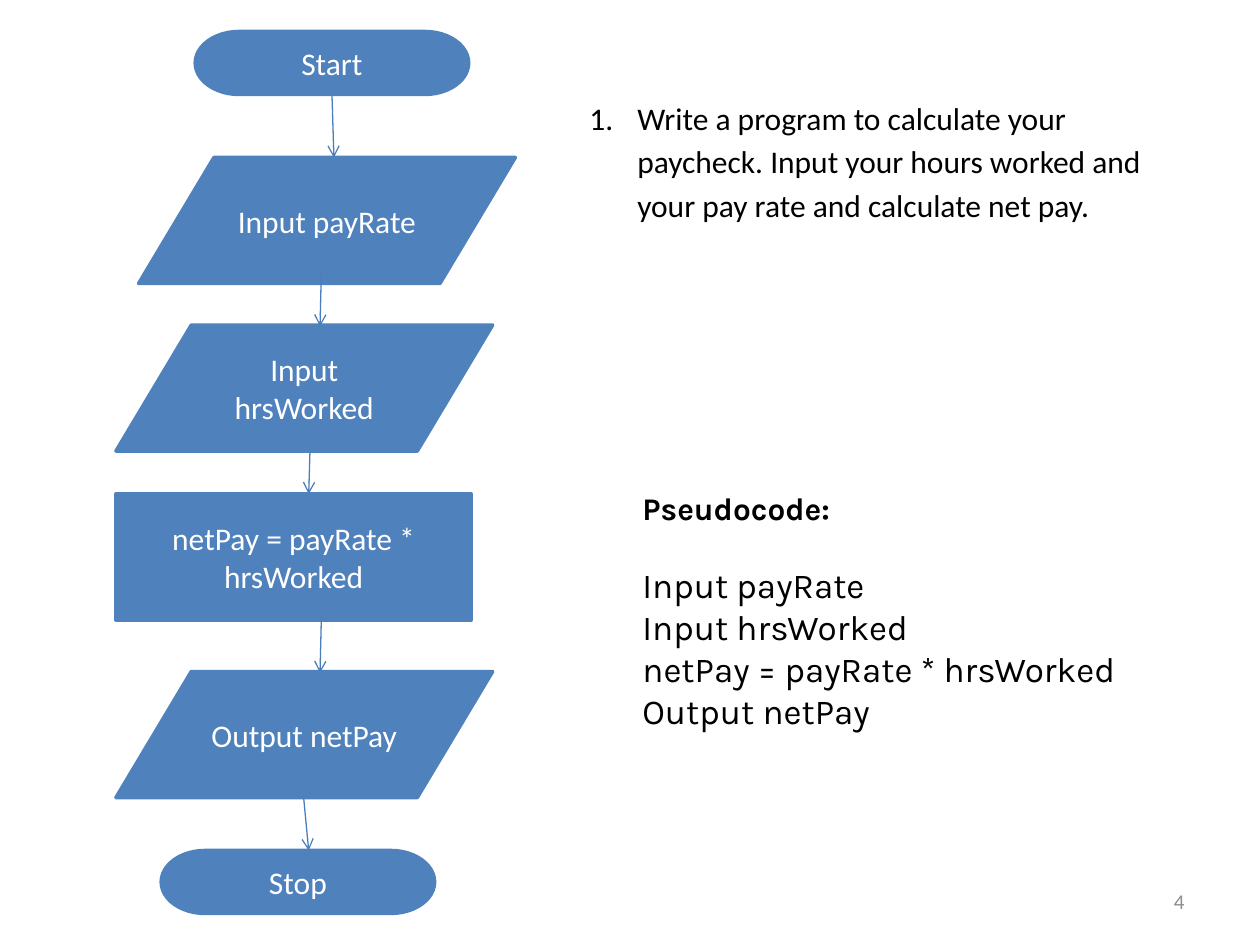
"""Build the paycheck flowchart slide with its task and pseudocode."""
from typing import NamedTuple

from lxml import etree
from pptx import Presentation
from pptx.dml.color import RGBColor
from pptx.enum.shapes import MSO_CONNECTOR, MSO_SHAPE
from pptx.enum.text import MSO_ANCHOR, MSO_AUTO_SIZE, PP_ALIGN
from pptx.oxml.ns import qn
from pptx.util import Pt

PX = 9144
BLUE = RGBColor(0x4F, 0x81, 0xBD)
ARROW_BLUE = RGBColor(0x4A, 0x7E, 0xBB)
WHITE = RGBColor(0xFF, 0xFF, 0xFF)
BLACK = RGBColor(0x00, 0x00, 0x00)
GRAY = RGBColor(0x8C, 0x8C, 0x8C)
TERMINATOR = MSO_SHAPE.FLOWCHART_TERMINATOR
DATA = MSO_SHAPE.FLOWCHART_DATA
PROCESS = MSO_SHAPE.FLOWCHART_PROCESS
STRAIGHT = MSO_CONNECTOR.STRAIGHT
CENTER, RIGHT = PP_ALIGN.CENTER, PP_ALIGN.RIGHT
MIDDLE = MSO_ANCHOR.MIDDLE
GROW = MSO_AUTO_SIZE.SHAPE_TO_FIT_TEXT
BOTTOM_SITE = 2


class Step(NamedTuple):
    kind: int
    text: str
    left: int
    top: int
    width: int
    height: int


class Arrow(NamedTuple):
    x1: int
    y1: int
    x2: int
    y2: int


STEPS = [
    Step(TERMINATOR, "Start", 155, 25, 217, 50),
    Step(DATA, "Input payRate", 110, 125, 299, 100),
    Step(DATA, "Input hrsWorked", 92, 258, 299, 100),
    Step(PROCESS, "netPay = payRate * hrsWorked", 92, 392, 282, 100),
    Step(DATA, "Output netPay", 92, 533, 299, 100),
    Step(TERMINATOR, "Stop", 128, 675, 217, 50),
]
ARROWS = [
    Arrow(264, 75, 265, 125),
    Arrow(255, 217, 254, 259),
    Arrow(246, 359, 245, 392),
    Arrow(255, 492, 254, 534),
    Arrow(241, 633, 245, 675),
]
TASK = ("Write a program to calculate your paycheck. Input your hours worked "
        "and your pay rate and calculate net pay.")
PSEUDOCODE = ["Input payRate", "Input hrsWorked",
              "netPay = payRate * hrsWorked", "Output netPay"]


def add_span(para, text: str, size: int, color: RGBColor,
             font: str = "Calibri", bold: bool = False) -> None:
    """Add one formatted run to a paragraph."""
    span = para.add_run()
    span.text = text
    span.font.name = font
    span.font.size = Pt(size)
    span.font.bold = bold
    span.font.color.rgb = color


def add_step(page, step: Step):
    """Draw one flowchart step and return its shape."""
    box = page.shapes.add_shape(step.kind, *(PX * v for v in step[2:]))
    box.shadow.inherit = False
    box.fill.solid()
    box.fill.fore_color.rgb = BLUE
    box.line.color.rgb = BLUE
    box.line.width = Pt(2)
    box.text_frame.word_wrap = True
    box.text_frame.vertical_anchor = MIDDLE
    para = box.text_frame.paragraphs[0]
    para.alignment = CENTER
    add_span(para, step.text, 18, WHITE)
    return box


def add_arrow(page, arrow: Arrow):
    """Draw one open-headed arrow and return its connector."""
    line = page.shapes.add_connector(STRAIGHT, *(PX * v for v in arrow))
    line.line.color.rgb = ARROW_BLUE
    line.line.width = Pt(0.75)
    outline = line.line._get_or_add_ln()
    etree.SubElement(outline, qn("a:tailEnd"), type="arrow")
    etree.SubElement(line._element.spPr, qn("a:effectLst"))
    return line


def add_frame(page, left: int, top: int, width: int, height: int):
    """Add a wrapping text box and return its text frame."""
    box = page.shapes.add_textbox(PX * left, PX * top, PX * width, PX * height)
    box.text_frame.word_wrap = True
    return box.text_frame


def number_paragraph(para, indent: int) -> None:
    """Give a paragraph a black automatic number and a hanging indent."""
    properties = para._p.get_or_add_pPr()
    properties.set("marL", str(PX * indent))
    properties.set("indent", str(-PX * indent))
    color = etree.SubElement(properties, qn("a:buClr"))
    etree.SubElement(color, qn("a:srgbClr"), val=str(BLACK))
    etree.SubElement(properties, qn("a:buAutoNum"), type="arabicPeriod")


def add_page_number(page) -> None:
    """Add the page number at the lower right."""
    frame = add_frame(page, 717, 695, 233, 40)
    frame.vertical_anchor = MIDDLE
    para = frame.paragraphs[0]
    para.alignment = RIGHT
    add_span(para, "4", 12, GRAY)


def add_pseudocode(page) -> None:
    """Add the pseudocode heading and its lines."""
    frame = add_frame(page, 500, 383, 458, 293)
    frame.auto_size = GROW
    heading = frame.paragraphs[0]
    heading.space_after = Pt(21)
    add_span(heading, "Pseudocode:", 18, BLACK, "Karla", True)
    for text in PSEUDOCODE:
        add_span(frame.add_paragraph(), text, 20, BLACK, "Karla")


def add_task(page) -> None:
    """Add the numbered task."""
    frame = add_frame(page, 458, 69, 500, 113)
    frame.auto_size = GROW
    para = frame.paragraphs[0]
    para.line_spacing = 1.15
    para.space_after = Pt(10)
    number_paragraph(para, 38)
    add_span(para, TASK, 18, BLACK)


def main() -> None:
    """Build and save the deck."""
    deck = Presentation()
    deck.slide_width, deck.slide_height = PX * 1000, PX * 750
    page = deck.slides.add_slide(deck.slide_layouts[6])
    add_page_number(page)
    boxes = [add_step(page, step) for step in STEPS]
    lines = [add_arrow(page, arrow) for arrow in ARROWS]
    lines[0].begin_connect(boxes[0], BOTTOM_SITE)
    add_pseudocode(page)
    add_task(page)
    deck.save("out.pptx")


if __name__ == "__main__":
    main()
